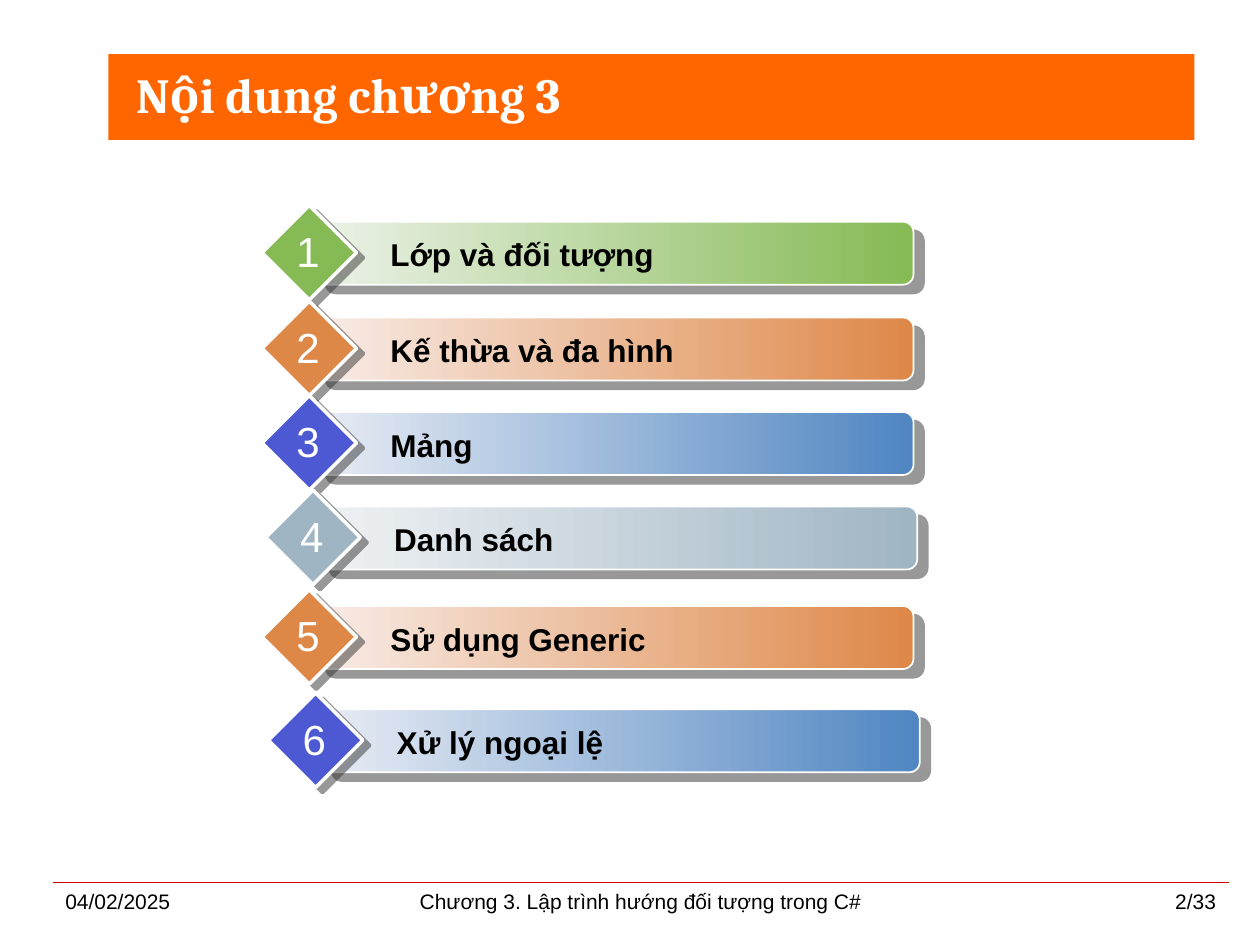
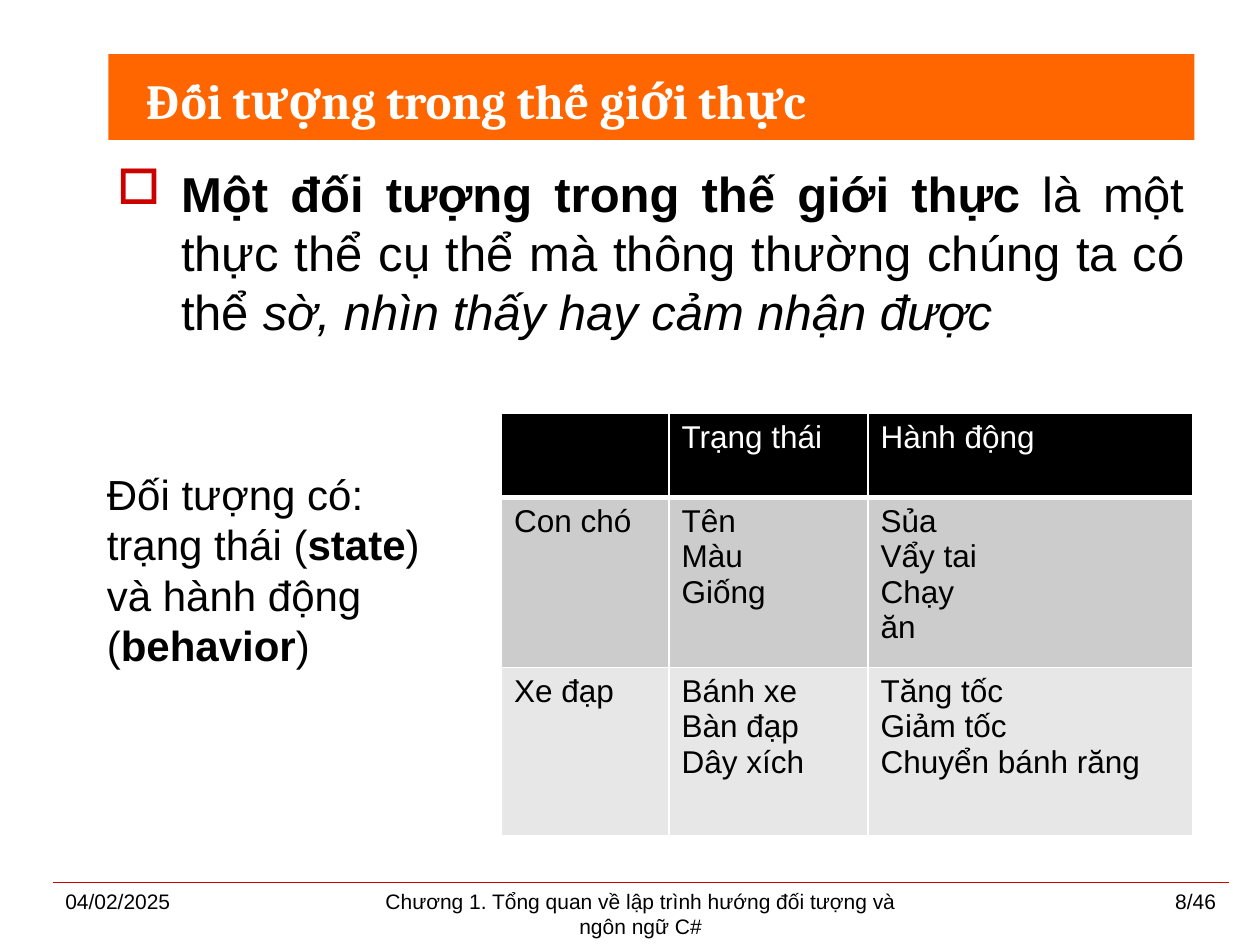
from lxml import etree
from pptx import Presentation
from pptx.dml.color import RGBColor
from pptx.enum.shapes import MSO_CONNECTOR, MSO_SHAPE
from pptx.enum.text import MSO_ANCHOR, MSO_AUTO_SIZE, PP_ALIGN
from pptx.oxml.ns import qn
from pptx.util import Inches, Pt

LEFT, CENTER, RIGHT, JUSTIFY = PP_ALIGN.LEFT, PP_ALIGN.CENTER, PP_ALIGN.RIGHT, PP_ALIGN.JUSTIFY
MIDDLE, NO_FIT = MSO_ANCHOR.MIDDLE, MSO_AUTO_SIZE.NONE
RECTANGLE, ROUNDED, DIAMOND = MSO_SHAPE.RECTANGLE, MSO_SHAPE.ROUNDED_RECTANGLE, MSO_SHAPE.DIAMOND
STRAIGHT = MSO_CONNECTOR.STRAIGHT

BLACK, WHITE, ORANGE, RED, SHADOW = "000000", "FFFFFF", "FF6600", "CC0000", "333333"

DATE = "04/02/2025"
AGENDA = {
    "title": "Nội dung chương 3",
    "title_at": (0.98, 0.37, 9.17, 0.75),
    "footer": "Chương 3. Lập trình hướng đối tượng trong C#",
    "number": "2/33",
}
OBJECTS = {
    "title": "Đối tượng trong thế giới thực",
    "title_at": (1.06, 0.42, 8.19, 0.75),
    "footer": "Chương 1. Tổng quan về lập trình hướng đối tượng và ngôn ngữ C#",
    "number": "8/46",
}

# Bar gradient start, bar gradient end, diamond
GREEN = ("ECF2E8", "85BA54", "85BA54")
COPPER = ("F8ECE7", "DE8848", "DE8848")
BLUE = ("E8ECF4", "5086C2", "4C59D2")
GREY = ("EFF2F4", "A0B5C4", "A0B5C4")
# Topic, palette, left and top of the bar
TOPICS = [
    ("Lớp và đối tượng", GREEN, 2.5, 1.76),
    ("Kế thừa và đa hình", COPPER, 2.5, 2.52),
    ("Mảng", BLUE, 2.5, 3.27),
    ("Danh sách", GREY, 2.53, 4.02),
    ("Sử dụng Generic", COPPER, 2.5, 4.81),
    ("Xử lý ngoại lệ", BLUE, 2.55, 5.63),
]

BOLD, ITALIC = {"bold": True}, {"italic": True}
DEFINITION = [
    ("Một đối tượng trong thế giới thực ", BOLD),
    ("là một thực thể cụ thể mà thông thường chúng ta có thể ", {}),
    ("sờ, nhìn thấy hay cảm nhận được", ITALIC),
]
SUMMARY = [
    ("Đối tượng có:\ntrạng thái (", {}),
    ("state", BOLD),
    (")\nvà hành động (", {}),
    ("behavior", BOLD),
    (")", {}),
]
EXAMPLES = [
    ([], ["Trạng thái"], ["Hành động"]),
    (["Con chó"], ["Tên", "Màu", "Giống"], ["Sủa", "Vẩy tai", "Chạy", "ăn"]),
    (["Xe đạp"], ["Bánh xe", "Bàn đạp", "Dây xích"], ["Tăng tốc", "Giảm tốc", "Chuyển bánh răng"]),
]
COLUMN_WIDTHS = (1.33, 1.58, 2.58)
ROW_HEIGHTS = (0.67, 1.35, 1.33)
# Fill, text colour and bottom border of each row
ROW_STYLES = [(BLACK, WHITE, 3), ("CCCCCC", BLACK, 1), ("E7E7E7", BLACK, 1)]


def color(value):
    return RGBColor.from_string(value)


def inches(values):
    return [Inches(value) for value in values]


def add_xml(parent, tag, **attributes):
    return etree.SubElement(parent, qn(tag), attributes)


def write(frame, paragraphs, size=18, ink=BLACK, font="Arial", bold=False, align=LEFT, bullet=None):
    """Fill a text frame; a paragraph is a string or a list of (text, style) runs."""
    for index, content in enumerate(paragraphs):
        para = frame.add_paragraph() if index else frame.paragraphs[0]
        para.alignment = align
        if bullet:
            properties = para._p.get_or_add_pPr()
            properties.set("marL", str(Inches(0.51)))
            properties.set("indent", str(-Inches(0.51)))
            add_xml(add_xml(properties, "a:buClr"), "a:srgbClr", val=RED)
            add_xml(properties, "a:buChar", char=bullet)
        runs = [(content, {})] if isinstance(content, str) else content
        for text, style in runs:
            for line_index, line in enumerate(text.split("\n")):
                if line_index:
                    para.add_line_break()
                span = para.add_run()
                span.text = line
                span.font.name, span.font.size = font, Pt(size)
                span.font.color.rgb = color(ink)
                span.font.bold = style.get("bold", bold)
                span.font.italic = style.get("italic", False)


def add_text(shapes, at, paragraphs, wrap=True, **text_format):
    box = shapes.add_textbox(*inches(at))
    box.text_frame.word_wrap = wrap
    write(box.text_frame, paragraphs, **text_format)


def add_block(shapes, kind, at, fill, border=None, shadow=None):
    """Draw a shape; two fills make a gradient, shadow is (distance, angle)."""
    block = shapes.add_shape(kind, *inches(at))
    if isinstance(fill, str):
        block.fill.solid()
        block.fill.fore_color.rgb = color(fill)
    else:
        block.fill.gradient()
        block.fill.gradient_angle = 0
        for stop, value in zip(block.fill.gradient_stops, fill):
            stop.color.rgb = color(value)
    if border:
        block.line.color.rgb = color(WHITE)
        block.line.width = Pt(border)
    else:
        block.line.fill.background()
    block.shadow.inherit = False
    if shadow:
        distance, angle = shadow
        effects = block.element.spPr.find(qn("a:effectLst"))
        outer = add_xml(effects, "a:outerShdw", blurRad="0", dist=str(Pt(distance)),
                        dir=str(angle * 60000), algn="ctr", rotWithShape="0")
        add_xml(add_xml(outer, "a:srgbClr", val=SHADOW), "a:alpha", val="50000")
    return block


def add_page(deck, content):
    """Add a slide with the title band, the footer rule and the footer texts."""
    page = deck.slides.add_slide(deck.slide_layouts[5])
    title = page.shapes.title
    title.left, title.top, title.width, title.height = inches(content["title_at"])
    title.text_frame.vertical_anchor = MIDDLE
    title.text_frame.auto_size = NO_FIT
    write(title.text_frame, [content["title"]], size=28, ink=WHITE, font="Cambria", bold=True)
    band = add_block(page.shapes, RECTANGLE, (0.86, 0.43, 8.62, 0.68), ORANGE)
    title.element.addprevious(band.element)

    rule = page.shapes.add_connector(STRAIGHT, *inches((0.42, 7, 9.75, 7)))
    rule.line.color.rgb = color(RED)
    rule.line.width = Pt(0.25)
    add_xml(rule.element.spPr, "a:effectLst")
    for left, width, text, align in [
        (0.42, 2.17, DATE, LEFT),
        (2.92, 4.33, content["footer"], CENTER),
        (7.58, 2.17, content["number"], RIGHT),
    ]:
        add_text(page.shapes, (left, 7, width, 0.35), [text], size=12, align=align)
    return page


def add_topic(page, number, topic, palette, left, top):
    start, end, badge = palette
    shapes = page.shapes.add_group_shape().shapes
    add_block(shapes, ROUNDED, (left, top, 4.75, 0.5), (start, end), border=1, shadow=(7.8, 40))
    add_block(shapes, DIAMOND, (left - 0.42, top - 0.13, 0.75, 0.75), badge, border=2, shadow=(5, 37))
    add_text(shapes, (left + 0.5, top + 0.06, 4.25, 0.4), [topic], bold=True)
    add_text(shapes, (left - 0.25, top - 0.02, 0.39, 0.5), [str(number)],
             wrap=False, size=24, ink=WHITE, align=CENTER)


def add_borders(cell, bottom):
    properties = cell._tc.get_or_add_tcPr()
    for side, width in (("L", 1), ("R", 1), ("T", 1), ("B", bottom)):
        line = add_xml(properties, f"a:ln{side}", w=str(Pt(width)))
        add_xml(add_xml(line, "a:solidFill"), "a:srgbClr", val=WHITE)


def add_examples(page):
    frame = page.shapes.add_table(len(ROW_HEIGHTS), len(COLUMN_WIDTHS),
                                  *inches((3.98, 3.28, sum(COLUMN_WIDTHS), sum(ROW_HEIGHTS))))
    table = frame.table
    for column, width in zip(table.columns, COLUMN_WIDTHS):
        column.width = Inches(width)
    for row, height, contents, style in zip(table.rows, ROW_HEIGHTS, EXAMPLES, ROW_STYLES):
        row.height = Inches(height)
        fill, ink, bottom = style
        for cell, lines in zip(row.cells, contents):
            add_borders(cell, bottom)
            cell.fill.solid()
            cell.fill.fore_color.rgb = color(fill)
            write(cell.text_frame, lines, ink=ink)


def main():
    deck = Presentation()
    deck.slide_width, deck.slide_height = Inches(10), Inches(7.5)

    agenda = add_page(deck, AGENDA)
    for number, topic in enumerate(TOPICS, start=1):
        add_topic(agenda, number, *topic)

    objects = add_page(deck, OBJECTS)
    add_text(objects.shapes, (0.83, 1.25, 8.67, 1.6), [DEFINITION], size=28, align=JUSTIFY, bullet="□")
    add_examples(objects)
    add_text(objects.shapes, (0.75, 3.67, 3.07, 1.83), [SUMMARY], size=24)

    deck.save("out.pptx")


if __name__ == "__main__":
    main()
